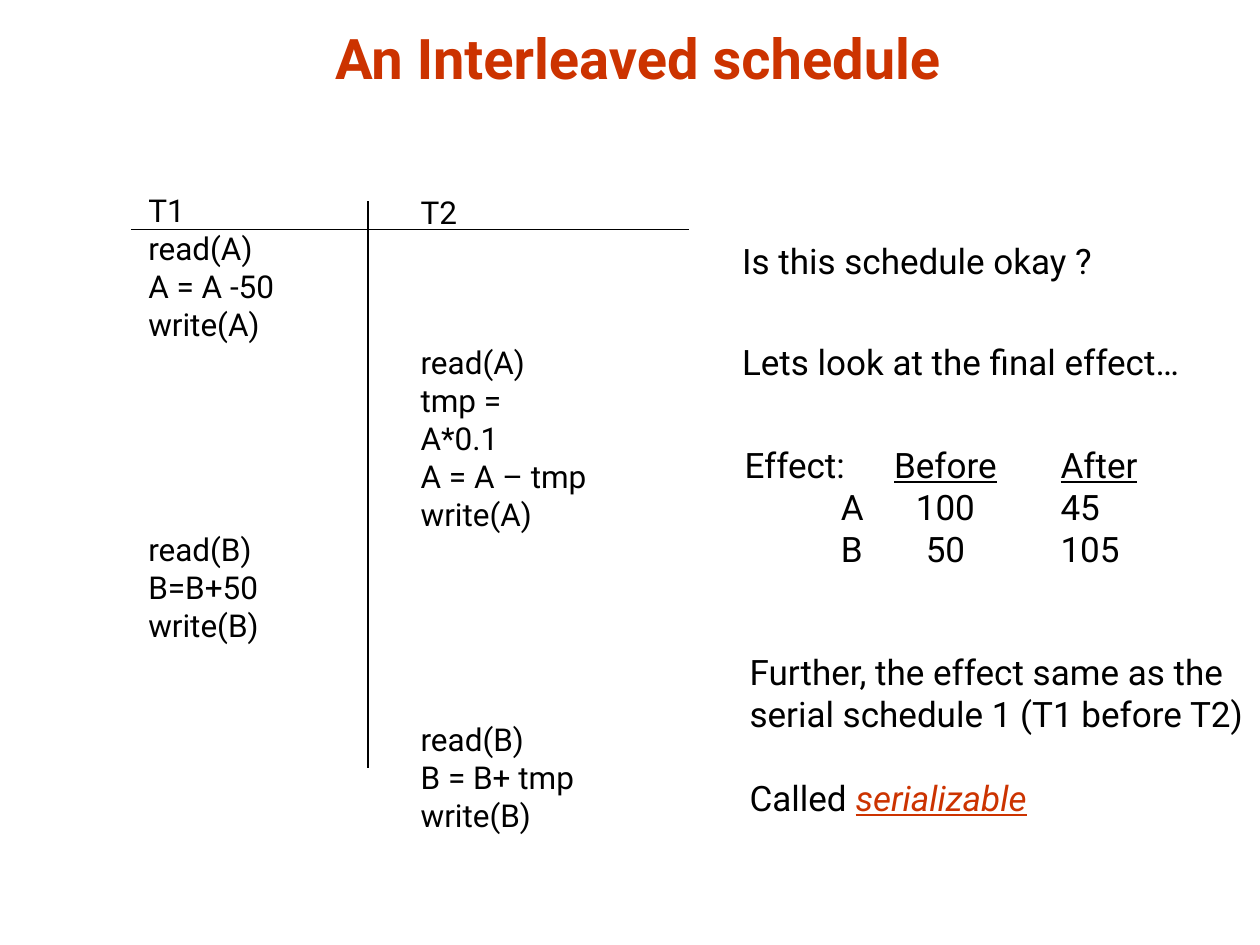
import pptx
import pptx.dml.color
import pptx.enum.shapes
import pptx.enum.text
import pptx.util
from lxml import etree

Cm = pptx.util.Cm
Pt = pptx.util.Pt
RGBColor = pptx.dml.color.RGBColor
Align = pptx.enum.text.PP_ALIGN
Anchor = pptx.enum.text.MSO_ANCHOR

BLACK = RGBColor(0x00, 0x00, 0x00)
RUST = RGBColor(0xCC, 0x33, 0x00)
FONT = "Roboto"
CODE_SIZE, NOTE_SIZE, TITLE_SIZE = 18, 20, 32
LINE_BREAK = "\n"
UNDERLINED = {"underline": True}
KEY_TERM = {"underline": True, "italic": True}


class ScheduleSlide:
    def __init__(self, presentation):
        self.slide = presentation.slides.add_slide(presentation.slide_layouts[6])

    def text(self, box, lines, size, gaps=None, color=BLACK, bold=False,
             align=Align.LEFT, anchor=Anchor.TOP):
        """Add one paragraph per line; gaps maps a line index to points above it.

        A line is a string or a list of strings and (string, format) pairs.
        """
        frame = self.slide.shapes.add_textbox(*map(Cm, box)).text_frame
        frame.word_wrap = True
        frame.vertical_anchor = anchor
        for index, line in enumerate(lines):
            paragraph = frame.paragraphs[0] if index == 0 else frame.add_paragraph()
            paragraph.alignment = align
            paragraph.space_before = Pt((gaps or {}).get(index, 0))
            for part in [line] if isinstance(line, str) else line:
                if part == LINE_BREAK:
                    paragraph.add_line_break()
                    continue
                words, extra = (part, {}) if isinstance(part, str) else part
                run = paragraph.add_run()
                run.text = words
                run.font.color.rgb = RUST if extra is KEY_TERM else color
                style = {"name": FONT, "size": Pt(size), "bold": bold, **extra}
                for attribute, value in style.items():
                    setattr(run.font, attribute, value)
        return frame

    def tabbed_text(self, box, lines, size, stops):
        """Add text whose columns sit at (position in cm, alignment) tab stops."""
        frame = self.text(box, lines, size)
        for paragraph in frame.paragraphs:
            properties = paragraph._p.get_or_add_pPr()
            tabs = etree.SubElement(properties, pptx.oxml.ns.qn("a:tabLst"))
            for position, align in stops:
                etree.SubElement(tabs, pptx.oxml.ns.qn("a:tab"),
                                 pos=str(int(Cm(position))), algn=align)

    def rule(self, *ends):
        line = self.slide.shapes.add_connector(
            pptx.enum.shapes.MSO_CONNECTOR.STRAIGHT, *map(Cm, ends))
        line.line.color.rgb = BLACK
        line.line.width = Pt(0.75)
        etree.SubElement(line._element.spPr, pptx.oxml.ns.qn("a:effectLst"))


def main():
    presentation = pptx.Presentation()
    presentation.slide_width, presentation.slide_height = Cm(25.4), Cm(19.05)
    page = ScheduleSlide(presentation)

    page.text((1.65, 0.25, 22.43, 1.7), ["An Interleaved schedule"], TITLE_SIZE,
              color=RUST, bold=True, align=Align.CENTER, anchor=Anchor.BOTTOM)

    page.text((2.74, 3.73, 3.3, 9.4),
              ["T1", "read(A)", "A = A -50", "write(A)",
               "read(B)", "B=B+50", "write(B)"],
              CODE_SIZE, gaps={4: 107.5})
    page.text((8.23, 3.76, 3.9, 12.47),
              ["T2", "read(A)", ["tmp = ", LINE_BREAK, "A*0.1"], "A = A – tmp",
               "write(A)", "read(B)", "B = B+ tmp", "write(B)"],
              CODE_SIZE, gaps={1: 64.5, 5: 107.5})
    page.rule(2.64, 4.62, 13.89, 4.62)
    page.rule(7.42, 4.06, 7.42, 15.49)

    page.text((14.71, 4.7, 7.8, 1.09), ["Is this schedule okay ?"], NOTE_SIZE)
    page.text((14.71, 6.73, 9.5, 1.09), ["Lets look at the final effect…"], NOTE_SIZE)
    page.tabbed_text(
        (14.76, 8.81, 8.6, 3.63),
        [["Effect:\t", ("Before", UNDERLINED), "\t", ("After", UNDERLINED)],
         "\tA\t100\t45",
         "\tB\t50\t105"],
        NOTE_SIZE, stops=[(1.94, "l"), (4.05, "ctr"), (6.37, "l")])
    page.text((14.86, 12.98, 10.7, 3.68),
              ["Further, the effect same as the",
               "serial schedule 1 (T1 before T2)",
               ["Called ", ("serializable", KEY_TERM)]],
              NOTE_SIZE, gaps={2: 24})

    presentation.save("out.pptx")


if __name__ == "__main__":
    main()
